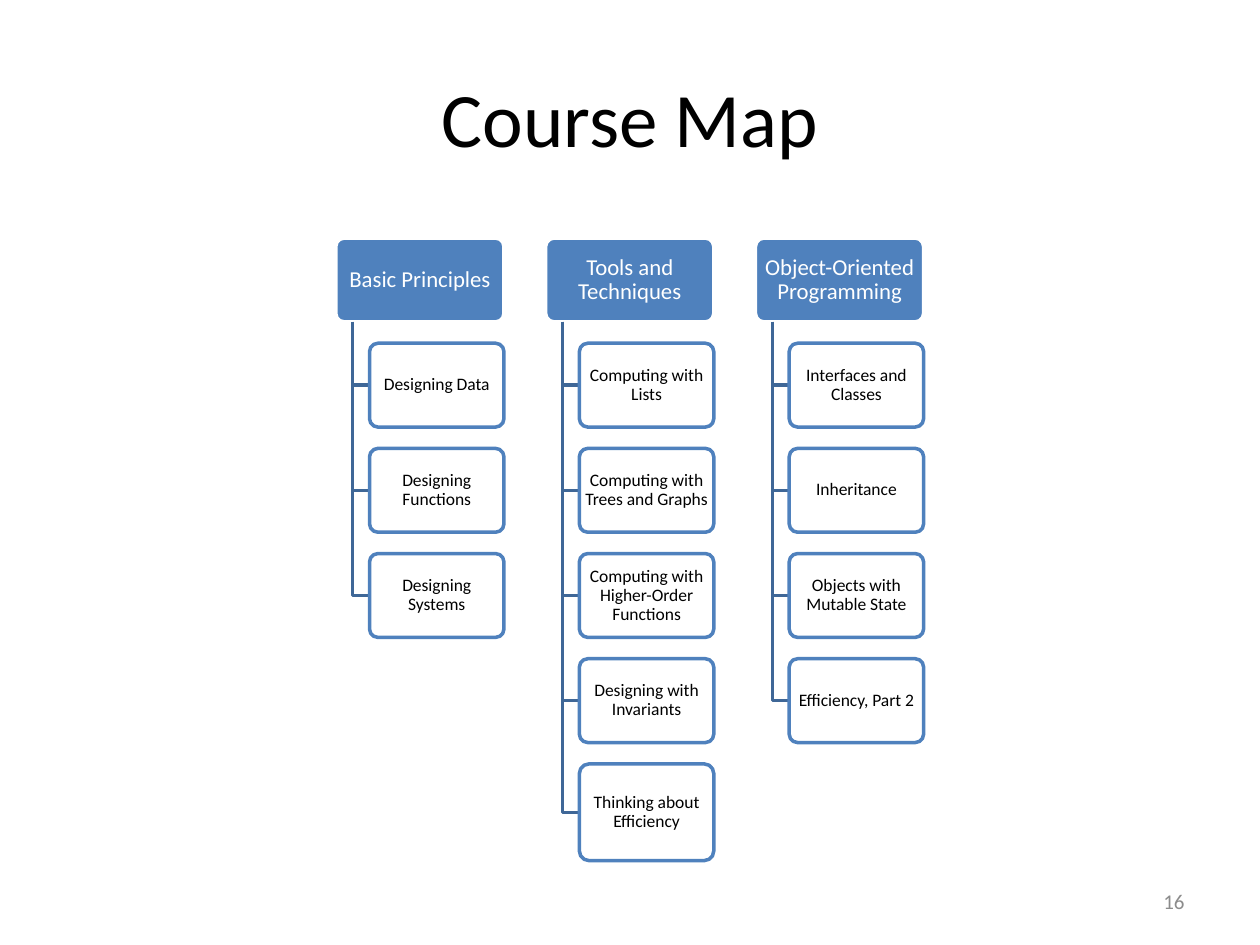
import dataclasses
import pptx
import pptx.util
import pptx.dml.color
import pptx.enum.shapes
import pptx.enum.text
import pptx.oxml
import pptx.oxml.ns

Cm = pptx.util.Cm
Pt = pptx.util.Pt
ALIGN = pptx.enum.text.PP_ALIGN

HUES = {
    "white": "FFFFFF",
    "black": "000000",
    "gray": "8C8C8C",
    "blue": "4F81BD",
    "navy": "3F6797",
}

# Grid of the map, in cm
LEFT, TOP, STEP = 6.77, 4.8, 4.23
HEAD_W, LEAF_W, BOX_H = 3.39, 2.71, 1.69
STEM, INDENT = 0.34, 0.68
LEAF_TOP, LEAF_STEP = 6.92, 2.12


@dataclasses.dataclass
class Leaf:
    text: str
    high: float = BOX_H


@dataclasses.dataclass
class Branch:
    head: str
    leaves: list[Leaf]


BRANCHES = [
    Branch("Basic Principles", [
        Leaf("Designing Data"),
        Leaf("Designing Functions"),
        Leaf("Designing Systems"),
    ]),
    Branch("Tools and Techniques", [
        Leaf("Computing with Lists"),
        Leaf("Computing with Trees and Graphs"),
        Leaf("Computing with Higher-Order Functions"),
        Leaf("Designing with Invariants"),
        Leaf("Thinking about Efficiency", 1.95),
    ]),
    Branch("Object-Oriented Programming", [
        Leaf("Interfaces and Classes"),
        Leaf("Inheritance"),
        Leaf("Objects with Mutable State"),
        Leaf("Efficiency, Part 2"),
    ]),
]


def hue(name: str) -> pptx.dml.color.RGBColor:
    return pptx.dml.color.RGBColor.from_string(HUES[name])


def write(shape, text: str, *, size: float, color: str, align=ALIGN.CENTER,
          pad: tuple[float, float] = (0.25, 0.13), lead: float = 1.0) -> None:
    """Set the text of a shape, centred from top to bottom."""
    frame = shape.text_frame
    frame.word_wrap = True
    frame.vertical_anchor = pptx.enum.text.MSO_ANCHOR.MIDDLE
    frame.margin_left = frame.margin_right = Cm(pad[0])
    frame.margin_top = frame.margin_bottom = Cm(pad[1])
    para = frame.paragraphs[0]
    para.alignment = align
    para.line_spacing = lead
    run = para.add_run()
    run.text = text
    run.font.name = "Calibri"
    run.font.size = Pt(size)
    run.font.color.rgb = hue(color)


def add_box(slide, x: float, y: float, w: float, h: float, *,
            fill: str, line: str, alpha: int = 100):
    """Draw a rounded box."""
    box = slide.shapes.add_shape(
        pptx.enum.shapes.MSO_SHAPE.ROUNDED_RECTANGLE, Cm(x), Cm(y), Cm(w), Cm(h))
    box.adjustments[0] = 0.1
    box.shadow.inherit = False
    box.fill.solid()
    box.fill.fore_color.rgb = hue(fill)
    box.line.color.rgb = hue(line)
    box.line.width = Pt(2)
    if alpha < 100:
        tint = box.fill._xPr.find(".//" + pptx.oxml.ns.qn("a:srgbClr"))
        tint.append(pptx.oxml.parse_xml(
            f'<a:alpha {pptx.oxml.ns.nsdecls("a")} val="{alpha * 1000}"/>'))
    return box


def add_elbow(slide, x: float, y: float, end_x: float, end_y: float) -> None:
    """Draw a line down and then right."""
    pen = slide.shapes.build_freeform(Cm(x), Cm(y))
    pen.add_line_segments([(Cm(x), Cm(end_y)), (Cm(end_x), Cm(end_y))], close=False)
    elbow = pen.convert_to_shape()
    elbow.shadow.inherit = False
    elbow.fill.background()
    elbow.line.color.rgb = hue("navy")
    elbow.line.width = Pt(2)


def add_branch(slide, branch: Branch, x: float) -> None:
    """Draw a head box with its leaves hung below."""
    head = add_box(slide, x, TOP, HEAD_W, BOX_H, fill="blue", line="white")
    write(head, branch.head, size=13, color="white", pad=(0.08, 0.05), lead=0.9)
    for row, leaf in enumerate(branch.leaves):
        y = LEAF_TOP + row * LEAF_STEP
        add_elbow(slide, x + STEM, TOP + BOX_H, x + INDENT, y + leaf.high / 2)
        box = add_box(slide, x + INDENT, y, LEAF_W, leaf.high,
                      fill="white", line="blue", alpha=90)
        write(box, leaf.text, size=10, color="black", pad=(0.05, 0.03), lead=0.9)


def main() -> None:
    deck = pptx.Presentation()
    deck.slide_width, deck.slide_height = Cm(25.4), Cm(19.05)
    slide = deck.slides.add_slide(deck.slide_layouts[6])

    # Title and page number
    title = slide.shapes.add_textbox(Cm(1.27), Cm(0.76), Cm(22.86), Cm(3.18))
    write(title, "Course Map", size=44, color="black")
    page = slide.shapes.add_textbox(Cm(18.2), Cm(17.66), Cm(5.93), Cm(1.01))
    write(page, "16", size=12, color="gray", align=ALIGN.RIGHT)

    # Course map
    for col, branch in enumerate(BRANCHES):
        add_branch(slide, branch, LEFT + col * STEP)

    deck.save("out.pptx")


if __name__ == "__main__":
    main()
